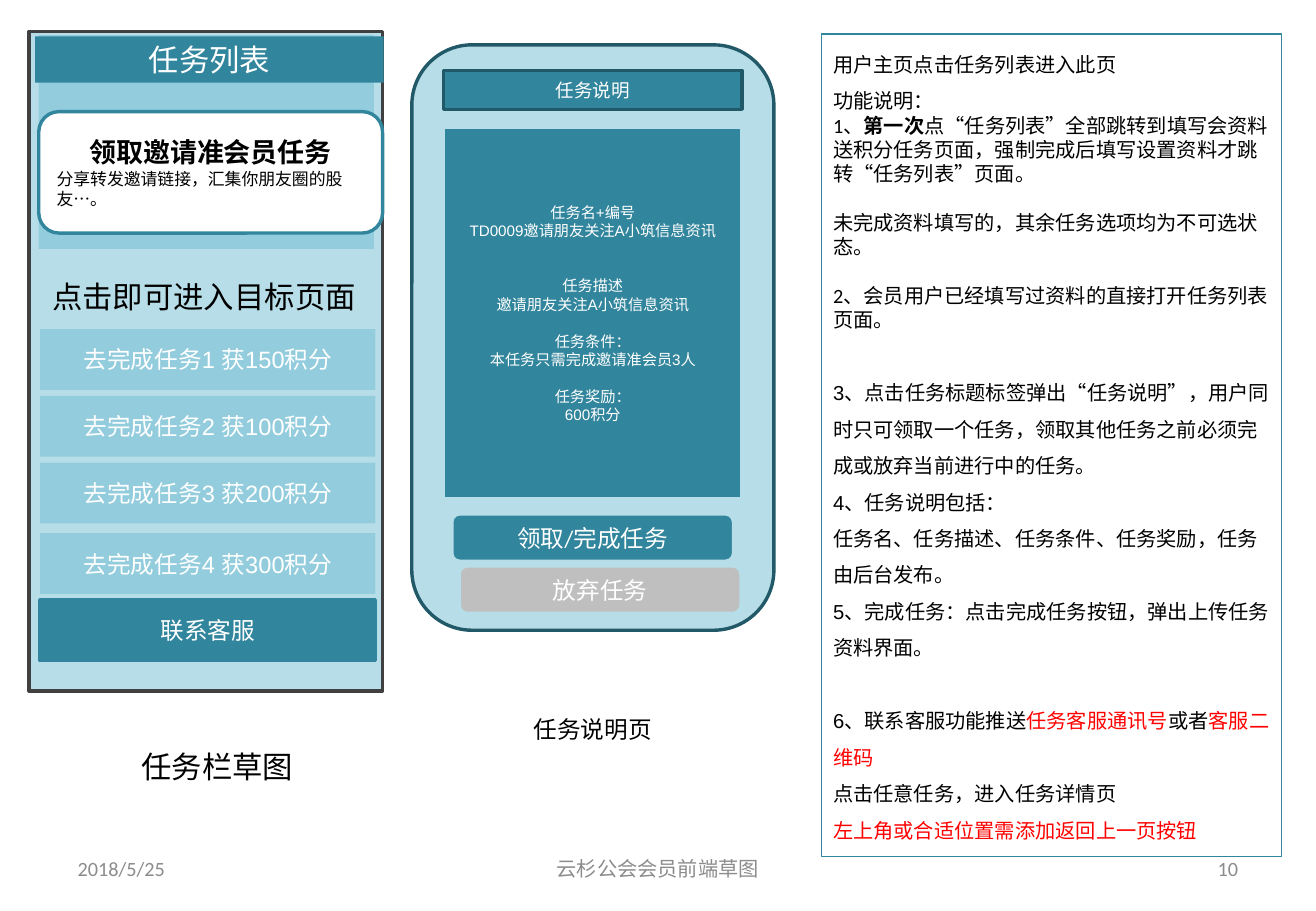
import pptx
import pptx.dml.color
import pptx.enum.shapes
import pptx.enum.text
import pptx.util

Pt = pptx.util.Pt
RGBColor = pptx.dml.color.RGBColor
PP_ALIGN = pptx.enum.text.PP_ALIGN
MSO_ANCHOR = pptx.enum.text.MSO_ANCHOR
RECTANGLE = pptx.enum.shapes.MSO_SHAPE.RECTANGLE
ROUNDED = pptx.enum.shapes.MSO_SHAPE.ROUNDED_RECTANGLE

WHITE = RGBColor(0xFF, 0xFF, 0xFF)
BLACK = RGBColor(0, 0, 0)
RED = RGBColor(0xFF, 0, 0)
PALE = RGBColor(0xB7, 0xDE, 0xE8)
LIGHT = RGBColor(0x93, 0xCD, 0xDD)
TEAL = RGBColor(0x31, 0x85, 0x9C)
DARK_TEAL = RGBColor(0x21, 0x59, 0x68)
CHARCOAL = RGBColor(0x40, 0x40, 0x40)
SILVER = RGBColor(0xBF, 0xBF, 0xBF)
GREY = RGBColor(0x8C, 0x8C, 0x8C)

# Content
TASKS = [  # top, label
    (195.1, "去完成任务1 获150积分"),
    (234.7, "去完成任务2 获100积分"),
    (274.3, "去完成任务3 获200积分"),
    (316.1, "去完成任务4 获300积分"),
]
DETAILS = [  # space before, text
    (0, "任务名+编号"),
    (0, "TD0009邀请朋友关注A小筑信息资讯"),
    (22, "任务描述"),
    (0, "邀请朋友关注A小筑信息资讯"),
    (11, "任务条件："),
    (0, "本任务只需完成邀请准会员3人"),
    (11, "任务奖励："),
    (0, "600积分"),
]
NOTES = [  # font, line spacing, space before, runs (text, colour, bold)
    ("Arial", 1.5, 0, [("用户主页点击任务列表进入此页", BLACK, False)]),
    ("Arial", 1.5, 0, [("功能说明：", BLACK, False)]),
    ("Calibri", 1, 0, [
        ("1、", BLACK, False),
        ("第一次", BLACK, True),
        ("点“任务列表”全部跳转到填写会资料送积分任务页面，强制完成后填写设置资料才跳转“任务列表”页面。", BLACK, False),
    ]),
    ("Calibri", 1, 14.5, [("未完成资料填写的，其余任务选项均为不可选状态。", BLACK, False)]),
    ("Calibri", 1, 14.5, [("2、会员用户已经填写过资料的直接打开任务列表页面。", BLACK, False)]),
    ("Arial", 1.5, 21.6, [
        ("3、点击任务标题标签弹出“任务说明”，用户同时只可领取一个任务，领取其他任务之前必须完成或放弃当前进行中的任务。", BLACK, False),
    ]),
    ("Arial", 1.5, 0, [("4、任务说明包括：", BLACK, False)]),
    ("Arial", 1.5, 0, [("任务名、任务描述、任务条件、任务奖励，任务由后台发布。", BLACK, False)]),
    ("Arial", 1.5, 0, [("5、完成任务：点击完成任务按钮，弹出上传任务资料界面。", BLACK, False)]),
    ("Arial", 1.5, 21.6, [
        ("6、联系客服功能推送", BLACK, False),
        ("任务客服通讯号", RED, False),
        ("或者", BLACK, False),
        ("客服二维码", RED, False),
    ]),
    ("Arial", 1.5, 0, [("点击任意任务，进入任务详情页", BLACK, False)]),
    ("Arial", 1.5, 0, [("左上角或合适位置需添加返回上一页按钮", RED, False)]),
]
FOOTERS = [  # left, width, text, alignment
    (38.9, 182.2, "2018/5/25", PP_ALIGN.LEFT),
    (558.7, 182.2, "10", PP_ALIGN.RIGHT),
    (266.4, 247, "云杉公会会员前端草图", PP_ALIGN.CENTER),
]

presentation = pptx.Presentation()
presentation.slide_width, presentation.slide_height = Pt(780), Pt(540)
slide = presentation.slides.add_slide(presentation.slide_layouts[6])


def add_panel(kind, at, fill, line=None, line_width=2):
    shape = slide.shapes.add_shape(kind, *map(Pt, at))
    shape.shadow.inherit = False
    shape.fill.solid()
    shape.fill.fore_color.rgb = fill
    if line is None:
        shape.line.fill.background()
    else:
        shape.line.color.rgb = line
        shape.line.width = Pt(line_width)
    return shape


def write(shape, lines, size, color, name="Calibri",
          alignment=PP_ALIGN.CENTER, anchor=MSO_ANCHOR.MIDDLE):
    """Fill a shape with (space before, text) lines in one style."""
    frame = shape.text_frame
    frame.word_wrap = True
    frame.vertical_anchor = anchor
    for index, (space, text) in enumerate(lines):
        paragraph = frame.paragraphs[0] if index == 0 else frame.add_paragraph()
        paragraph.text = text
        paragraph.alignment = alignment
        if space:
            paragraph.space_before = Pt(space)
        paragraph.font.size = Pt(size)
        paragraph.font.name = name
        paragraph.font.color.rgb = color


def add_label(at, text, size, color=BLACK, alignment=PP_ALIGN.CENTER,
              anchor=MSO_ANCHOR.TOP):
    label = slide.shapes.add_textbox(*map(Pt, at))
    write(label, [(0, text)], size, color, alignment=alignment, anchor=anchor)


def add_button(kind, at, text, size, fill, line=None, name="Calibri"):
    write(add_panel(kind, at, fill, line), [(0, text)], size, WHITE, name)


# Task list screen
add_label((67.7, 439.9, 122.4, 29), "任务栏草图", 18)
add_panel(RECTANGLE, (17.3, 18.7, 209.5, 391), PALE, CHARCOAL)
add_panel(RECTANGLE, (23, 20.9, 198.7, 126.7), LIGHT)
for top, text in TASKS:
    add_button(RECTANGLE, (23.8, top, 198.7, 36), text, 14, LIGHT, name="Arial")
add_button(RECTANGLE, (23.8, 355.7, 198.7, 36), "联系客服", 14, TEAL, TEAL, "Arial")
add_button(RECTANGLE, (20.9, 21.6, 206.6, 27.4), "任务列表", 18, TEAL)
add_label((23.8, 161.3, 197.3, 29.5), "点击即可进入目标页面", 18,
          alignment=PP_ALIGN.LEFT)

# Invitation card
card = add_panel(ROUNDED, (23, 66.2, 203.8, 72), WHITE, TEAL)
write(card, [(0, "领取邀请准会员任务"), (0, "分享转发邀请链接，汇集你朋友圈的股友…。")], 16, BLACK)
heading, summary = card.text_frame.paragraphs
heading.font.bold = True
summary.alignment = PP_ALIGN.LEFT
summary.font.size = Pt(10)
summary.font.name = "Noto Sans CJK SC"

# Explanations
notes = add_panel(RECTANGLE, (486.7, 20.2, 272.9, 487.4), WHITE, TEAL, 0.75)
write(notes, [(space, "") for _, _, space, _ in NOTES], 12, BLACK,
      alignment=PP_ALIGN.LEFT, anchor=MSO_ANCHOR.TOP)
for paragraph, (name, spacing, _, runs) in zip(notes.text_frame.paragraphs, NOTES):
    paragraph.font.name = name
    paragraph.line_spacing = spacing
    for text, color, bold in runs:
        run = paragraph.add_run()
        run.text = text
        run.font.color.rgb = color
        run.font.bold = bold

# Task description screen
add_panel(ROUNDED, (244.1, 26.6, 214.6, 347), PALE, DARK_TEAL)
add_button(RECTANGLE, (262.8, 41.8, 177.1, 23), "任务说明", 11, TEAL, DARK_TEAL)
details = add_panel(RECTANGLE, (262.8, 75.6, 177.1, 220.3), TEAL, PALE)
write(details, DETAILS, 9, WHITE, "Arial")
add_button(ROUNDED, (267.8, 304.6, 167, 28.1), "领取/完成任务", 14, TEAL, PALE)
add_button(ROUNDED, (272.2, 335.5, 167, 28.1), "放弃任务", 14, SILVER, PALE)
add_label((262.8, 420.5, 177.1, 33.1), "任务说明页", 14)

# Footer
for left, width, text, alignment in FOOTERS:
    add_label((left, 500.4, width, 28.8), text, 12, GREY, alignment, MSO_ANCHOR.MIDDLE)

presentation.save("out.pptx")
